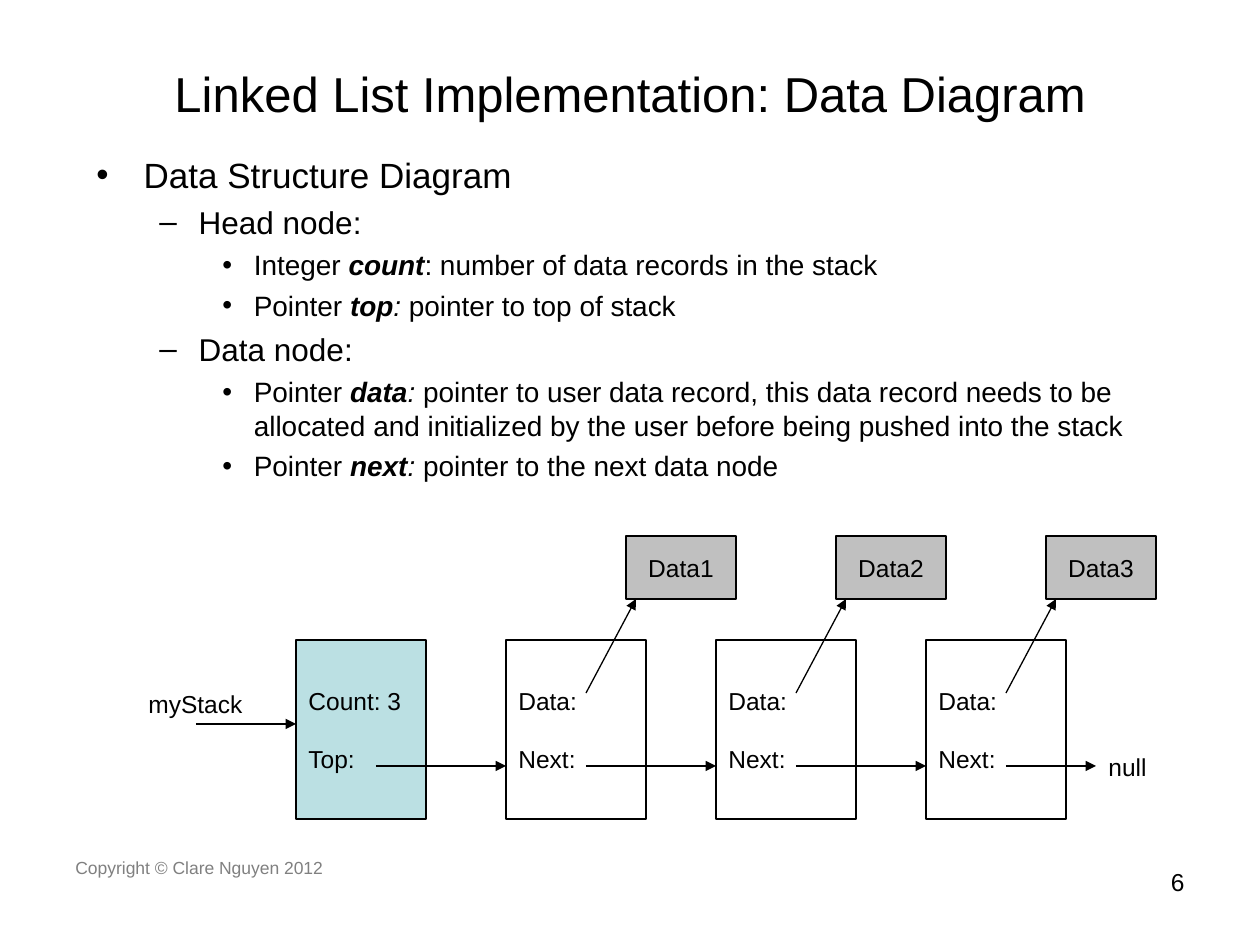
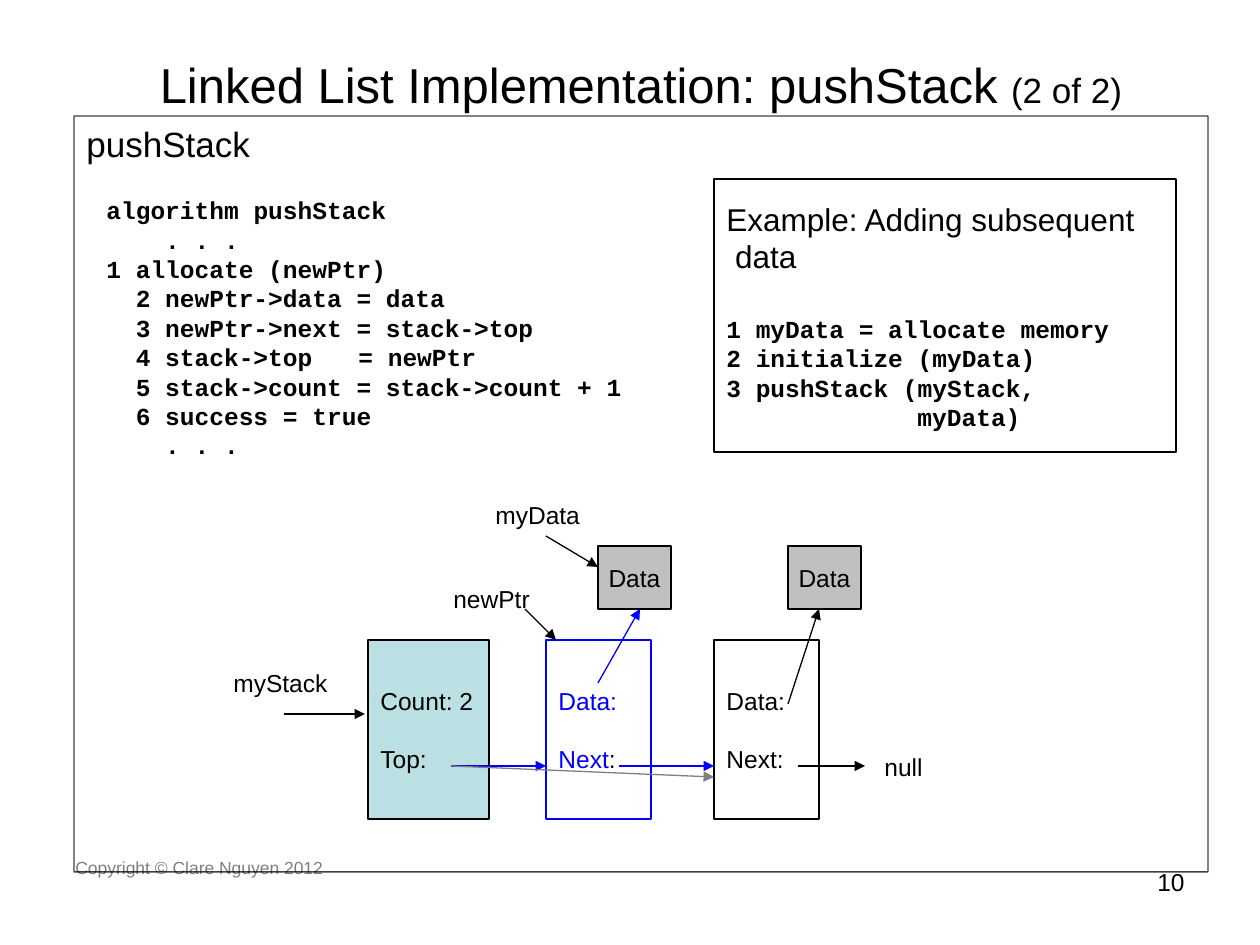
import pptx
import pptx.dml.color
import pptx.enum.shapes
import pptx.enum.text
import pptx.oxml.ns
import pptx.util

RGBColor = pptx.dml.color.RGBColor
Pt = pptx.util.Pt
ALIGN = pptx.enum.text.PP_ALIGN
ANCHOR = pptx.enum.text.MSO_ANCHOR
RECTANGLE = pptx.enum.shapes.MSO_SHAPE.RECTANGLE
STRAIGHT = pptx.enum.shapes.MSO_CONNECTOR.STRAIGHT

BLACK = RGBColor(0, 0, 0)
BLUE = RGBColor(0, 0, 255)
GREY = RGBColor(0x7F, 0x7F, 0x7F)
FOOTER_GREY = RGBColor(0x80, 0x80, 0x80)
DATA_GREY = RGBColor(0xC0, 0xC0, 0xC0)
HEAD_TEAL = RGBColor(0xBB, 0xE0, 0xE3)

EMU_PER_PX = 914400 / 126
CODE_CHARACTER = 8.4
FIELD_GAP = 16.5
EXAMPLE_GAP = 22
NODE_TOP, NODE_HEIGHT = 640, 179
DATA_HEIGHT = 63
LINK_Y = 766

BASE = {"size": 14, "name": "Arial", "bold": False, "italic": False, "color": BLACK}
CODE = {"name": "Courier New", "bold": True}
TERM = {"bold": True, "italic": True}
SLANTED = {"italic": True}
LEVELS = [
    {"size": 20, "before": 5, "margin": 27, "indent": -27, "bullet": "•"},
    {"size": 18, "before": 4.5, "margin": 58.5, "indent": -22.5, "bullet": "–"},
    {"size": 16, "before": 4, "margin": 90, "indent": -18, "bullet": "•"},
]

COPYRIGHT = "Copyright © Clare Nguyen 2012"

DIAGRAM_TITLE = ["Linked List Implementation: Data Diagram"]
OUTLINE = [
    (0, ["Data Structure Diagram"]),
    (1, ["Head node:"]),
    (2, ["Integer ", ("count", TERM), ": number of data records in the stack"]),
    (2, ["Pointer ", ("top", TERM), (":", SLANTED), " pointer to top of stack"]),
    (1, ["Data node:"]),
    (2, ["Pointer ", ("data", TERM), (": ", SLANTED),
         "pointer to user data record, this data record needs to be allocated "
         "and initialized by the user before being pushed into the stack"]),
    (2, ["Pointer ", ("next", TERM), (": ", SLANTED), "pointer to the next data node"]),
]
DATA_RECORDS = ["Data1", "Data2", "Data3"]

PUSH_TITLE = ["Linked List Implementation: pushStack ", ("(2 of 2)", {"size": 20})]
PUSH_HEADING = [(["pushStack"], {"size": 20, "before": 5})]
ALGORITHM = [
    (0, "algorithm pushStack"),
    (4, ". . ."),
    (0, "1 allocate (newPtr)"),
    (2, "2 newPtr->data = data"),
    (2, "3 newPtr->next = stack->top"),
    (2, "4 stack->top\t= newPtr"),
    (2, "5 stack->count = stack->count + 1"),
    (2, "6 success = true"),
    (4, ". . ."),
]
EQUALS_COLUMN = 17
EXAMPLE_HEADING = [(0, "Example: Adding subsequent"), (5, "data")]
EXAMPLE_CODE = [
    (0, "1 myData = allocate memory"),
    (0, "2 initialize (myData)"),
    (0, "3 pushStack (myStack,"),
    (13, "myData)"),
]
NODE_FIELDS = [["Data:"], ["Next:"]]
NEW_NODE_FIELDS = [[("Data:", {"color": BLUE})], [("Next", {"color": BLUE}), ":"]]
PUSH_LABELS = [
    ("myStack", 221, 662, 135),
    ("null", 872, 746, 81),
    ("myData", 483, 494, 115),
    ("newPtr", 441, 578, 115),
]
PUSH_ARROWS = [
    ((284, 714), (365, 714), BLACK, 1.5),
    ((451, LINK_Y), (546, LINK_Y), BLUE, 0.75),
    ((798, LINK_Y), (865, LINK_Y), BLACK, 0.75),
    ((788, 704), (819, 609), BLACK, 0.75),
    ((546, 536), (598, 567), BLACK, 0.75),
    ((598, 683), (640, 609), BLUE, 0.75),
    ((619, LINK_Y), (714, LINK_Y), BLUE, 0.75),
    ((525, 609), (556, 640), BLACK, 0.75),
    ((451, LINK_Y), (714, 777), GREY, 0.75),
]


def px(*lengths):
    return [round(length * EMU_PER_PX) for length in lengths]


def append_xml(parent, tag, **attributes):
    child = parent.makeelement(pptx.oxml.ns.qn(tag), attributes)
    parent.append(child)
    return child


def line_xml(shape):
    return shape._element.spPr.find(pptx.oxml.ns.qn("a:ln"))


def set_paragraph(paragraph, style):
    paragraph.alignment = style.get("align", ALIGN.LEFT)
    paragraph.space_before = Pt(style.get("before", 0))
    properties = paragraph._p.get_or_add_pPr()
    for attribute, key in (("marL", "margin"), ("indent", "indent")):
        properties.set(attribute, str(Pt(style.get(key, 0))))
    if "bullet" in style:
        append_xml(properties, "a:buFont", typeface="Arial")
        append_xml(properties, "a:buChar", char=style["bullet"])
    if "tab" in style:
        stops = append_xml(properties, "a:tabLst")
        append_xml(stops, "a:tab", pos=str(Pt(style["tab"])), algn="l")


def fill_text(frame, paragraphs, anchor=ANCHOR.TOP, wrap=True):
    frame.auto_size = pptx.enum.text.MSO_AUTO_SIZE.NONE
    frame.vertical_anchor = anchor
    frame.word_wrap = wrap
    for index, (runs, style) in enumerate(paragraphs):
        paragraph = frame.add_paragraph() if index else frame.paragraphs[0]
        set_paragraph(paragraph, style)
        for part in runs:
            text, run_style = (part, {}) if isinstance(part, str) else part
            run = paragraph.add_run()
            run.text = text
            look = {key: {**BASE, **style, **run_style}[key] for key in BASE}
            run.font.color.rgb = look.pop("color")
            look["size"] = Pt(look["size"])
            for attribute, value in look.items():
                setattr(run.font, attribute, value)


def add_text(slide, box, paragraphs, **options):
    shape = slide.shapes.add_textbox(*px(*box))
    fill_text(shape.text_frame, paragraphs, **options)


def add_label(slide, text, left, top, width):
    add_text(slide, (left, top, width, 43), [([text], {})])


def add_box(slide, box, paragraphs, fill=None, line=BLACK, anchor=ANCHOR.MIDDLE, wrap=True):
    shape = slide.shapes.add_shape(RECTANGLE, *px(*box))
    shape.shadow.inherit = False
    if fill is None:
        shape.fill.background()
    else:
        shape.fill.solid()
        shape.fill.fore_color.rgb = fill
    shape.line.color.rgb = line
    shape.line.width = Pt(0.75)
    fill_text(shape.text_frame, paragraphs, anchor, wrap)
    return shape


def add_node(slide, left, width, fields, **look):
    paragraphs = [(runs, {"before": FIELD_GAP if row else 0}) for row, runs in enumerate(fields)]
    add_box(slide, (left, NODE_TOP, width, NODE_HEIGHT), paragraphs, **look)


def add_head(slide, left, width, count):
    add_node(slide, left, width, [[f"Count: {count}"], ["Top:"]], fill=HEAD_TEAL)


def add_data(slide, left, top, width, text):
    add_box(slide, (left, top, width, DATA_HEIGHT), [([text], {"align": ALIGN.CENTER})],
            fill=DATA_GREY, wrap=False)


def add_arrow(slide, start, end, color=BLACK, width=0.75):
    connector = slide.shapes.add_connector(STRAIGHT, *px(*start, *end))
    connector.line.color.rgb = color
    connector.line.width = Pt(width)
    append_xml(line_xml(connector), "a:tailEnd", type="triangle")
    append_xml(connector._element.spPr, "a:effectLst")


def start_slide(presentation, title, title_box, number):
    slide = presentation.slides.add_slide(presentation.slide_layouts[5])
    placeholder = slide.shapes.title
    placeholder.left, placeholder.top, placeholder.width, placeholder.height = px(*title_box)
    fill_text(placeholder.text_frame, [(title, {"size": 28, "align": ALIGN.CENTER})],
              anchor=ANCHOR.MIDDLE)
    add_text(slide, (63, 851, 399, 66), [([COPYRIGHT], {"size": 10, "color": FOOTER_GREY})])
    add_text(slide, (903, 861, 294, 66), [([str(number)], {"align": ALIGN.RIGHT})])
    return slide


def build_diagram_slide(presentation):
    slide = start_slide(presentation, DIAGRAM_TITLE, (63, 38, 1134, 110), 6)
    add_text(slide, (84, 147, 1081, 693), [(runs, LEVELS[level]) for level, runs in OUTLINE])

    first, pitch, node_width = 506, 210, 140
    add_head(slide, first - pitch, 130, len(DATA_RECORDS))
    add_arrow(slide, (196, 724), (first - pitch, 724), width=1.5)
    add_arrow(slide, (first - 130, LINK_Y), (first, LINK_Y))
    for index, record in enumerate(DATA_RECORDS):
        left = first + index * pitch
        is_last = index == len(DATA_RECORDS) - 1
        add_node(slide, left, node_width, NODE_FIELDS)
        add_data(slide, left + 120, 536, 110, record)
        add_arrow(slide, (left + 80, 693), (left + 130, 599))
        add_arrow(slide, (left + 80, LINK_Y), (left + (170 if is_last else pitch), LINK_Y))
    add_label(slide, "null", 1096, 746, 81)
    add_label(slide, "myStack", 136, 683, 140)


def build_push_slide(presentation):
    slide = start_slide(presentation, PUSH_TITLE, (74, 42, 1134, 84), 10)
    frame = add_box(slide, (74, 116, 1134, 756), PUSH_HEADING, anchor=ANCHOR.TOP)
    frame_color = line_xml(frame).find(".//" + pptx.oxml.ns.qn("a:srgbClr"))
    append_xml(frame_color, "a:alpha", val="75000")

    code = [([text], {**CODE, "indent": column * CODE_CHARACTER,
                      "tab": EQUALS_COLUMN * CODE_CHARACTER}) for column, text in ALGORITHM]
    add_text(slide, (94, 189, 588, 277), code, anchor=ANCHOR.MIDDLE)

    example = [([text], {"size": 18, "indent": indent}) for indent, text in EXAMPLE_HEADING]
    example += [([text], {**CODE, "indent": column * CODE_CHARACTER,
                          "before": 0 if row else EXAMPLE_GAP})
                for row, (column, text) in enumerate(EXAMPLE_CODE)]
    add_box(slide, (714, 179, 462, 273), example)

    add_head(slide, 368, 121, 2)
    add_node(slide, 714, 105, NODE_FIELDS)
    add_node(slide, 546, 105, NEW_NODE_FIELDS, line=BLUE)
    for left in (598, 788):
        add_data(slide, left, 546, 73, "Data")
    for label in PUSH_LABELS:
        add_label(slide, *label)
    for arrow in PUSH_ARROWS:
        add_arrow(slide, *arrow)


def main():
    presentation = pptx.Presentation()
    presentation.slide_width, presentation.slide_height = px(1260, 945)
    build_diagram_slide(presentation)
    build_push_slide(presentation)
    presentation.save("out.pptx")


if __name__ == "__main__":
    main()
